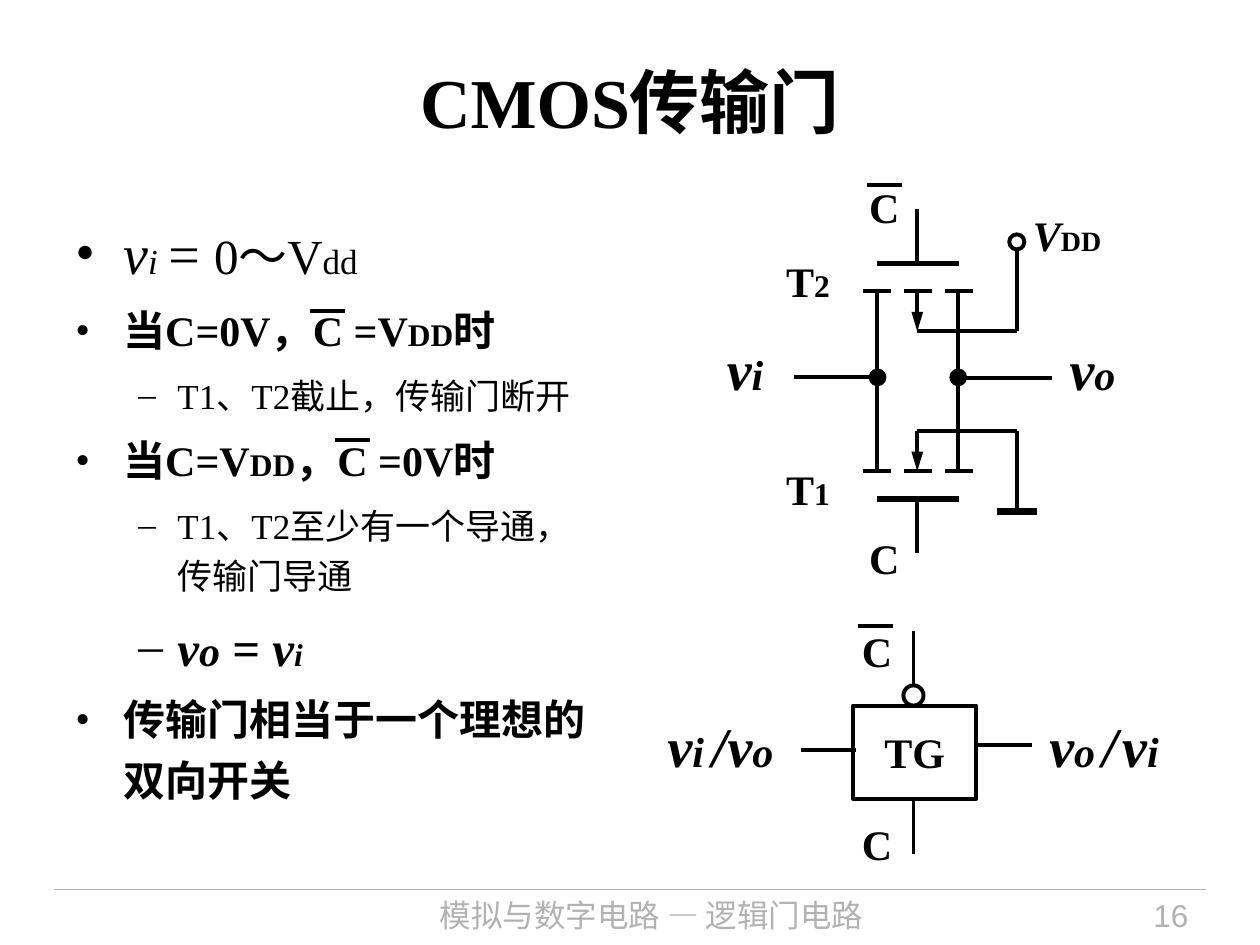
import pptx
import pptx.dml.color
import pptx.enum.shapes
import pptx.enum.text
import pptx.oxml
import pptx.oxml.ns
import pptx.util
from pptx.util import Inches

COLORS = {"ink": "000000", "footer": "B2B2B2"}
SERIF = "Times New Roman"
ALIGN = pptx.enum.text.PP_ALIGN
ANCHOR = pptx.enum.text.MSO_ANCHOR
SHAPE = pptx.enum.shapes.MSO_SHAPE
END_LENGTHS = {"triangle": "lg", "oval": "med"}


def rgb(name):
    """Return the named colour."""
    return pptx.dml.color.RGBColor.from_string(COLORS[name])


def add_child(parent, tag, **attributes):
    """Append a DrawingML element with the given attributes."""
    child = pptx.oxml.parse_xml(f"<a:{tag} {pptx.oxml.ns.nsdecls('a')}/>")
    for key, value in attributes.items():
        child.set(key, str(value))
    parent.append(child)
    return child


def add_runs(paragraph, runs, font=SERIF, color="ink"):
    """Add runs given as (text, size, style), style holding b and i flags."""
    for text, size, style in runs:
        run = paragraph.add_run()
        run.text = text
        run.font.name = font
        run.font.size = pptx.util.Pt(size)
        run.font.bold = "b" in style
        run.font.italic = "i" in style
        run.font.color.rgb = rgb(color)


def add_text(shapes, box, runs, align=ALIGN.LEFT, wrap=True, inset=True,
             anchor=ANCHOR.TOP, font=SERIF, color="ink"):
    """Add a one-paragraph text box."""
    frame = shapes.add_textbox(*map(Inches, box)).text_frame
    frame.word_wrap = wrap
    frame.vertical_anchor = anchor
    if not inset:
        frame.margin_left = frame.margin_right = 0
        frame.margin_top = frame.margin_bottom = 0
    frame.paragraphs[0].alignment = align
    add_runs(frame.paragraphs[0], runs, font, color)
    return frame


def add_line(shapes, x1, y1, x2, y2, width=2.25, end=None, color="ink"):
    """Add a straight line with an optional end mark."""
    line = shapes.add_connector(pptx.enum.shapes.MSO_CONNECTOR.STRAIGHT,
                                *map(Inches, (x1, y1, x2, y2)))
    line.line.color.rgb = rgb(color)
    line.line.width = pptx.util.Pt(width)
    if end:
        add_child(line.line._get_or_add_ln(), "tailEnd", type=end,
                  len=END_LENGTHS[end])
    add_child(line._element.spPr, "effectLst")


def add_outline(shapes, kind, box):
    """Add an unfilled outlined shape."""
    shape = shapes.add_shape(kind, *map(Inches, box))
    shape.shadow.inherit = False
    shape.fill.background()
    shape.line.color.rgb = rgb("ink")
    shape.line.width = pptx.util.Pt(2.25)
    return shape


def add_footer(shapes, left, top, width):
    """Place the footer rule, course name and page number."""
    add_line(shapes, left, top, left + width, top, 0.75, color="footer")
    add_text(shapes, (left + 2.06, top, 5.36, 0.44),
             [("模拟与数字电路 — 逻辑门电路", 18, "")], ALIGN.CENTER,
             font="Arial", color="footer")
    add_text(shapes, (left + 7.77, top, 1.33, 0.44), [("16", 18, "")],
             ALIGN.RIGHT, font="Arial", color="footer")


def add_explanation(shapes, left, top, width, height):
    """Place the bulleted explanation with the bars over C."""
    points = [
        (0, 5, [("v", 32, "i"), ("i", 20, "i"), (" ", 24, "b"),
                ("= ", 32, ""), ("0～V", 28, ""), ("dd", 20, "")]),
        (0, 6, [("当C=0V，C =V", 24, "b"), ("DD", 18, "b"), ("时", 24, "b")]),
        (1, 5, [("T1、T2截止，传输门断开", 20, "")]),
        (0, 6, [("当C=V", 24, "b"), ("DD", 18, "b"), ("，C =0V时", 24, "b")]),
        (1, 5, [("T1、T2至少有一个导通，传输门导通", 20, "")]),
        (1, 4.5, [("v", 28, "bi"), ("o", 24, "bi"), (" ", 28, "bi"),
                  ("= ", 28, "b"), ("v", 28, "bi"), ("i", 18, "bi")]),
        (0, 6, [("传输门相当于一个理想的双向开关", 24, "b")]),
    ]
    levels = [("•", 0.38, 0.38), ("–", 0.81, 0.31)]
    frame = shapes.add_textbox(*map(Inches, (left, top, width, height))).text_frame
    frame.word_wrap = True
    for index, (level, space_after, runs) in enumerate(points):
        paragraph = frame.add_paragraph() if index else frame.paragraphs[0]
        paragraph.level = level
        paragraph.line_spacing = 1.2
        paragraph.space_after = pptx.util.Pt(space_after)
        bullet, margin, hanging = levels[level]
        properties = paragraph._p.get_or_add_pPr()
        properties.set("marL", str(Inches(margin)))
        properties.set("indent", str(-Inches(hanging)))
        add_child(add_child(properties, "buClr"), "srgbClr", val=COLORS["ink"])
        add_child(properties, "buFont", typeface=SERIF)
        add_child(properties, "buChar", char=bullet)
        add_runs(paragraph, runs)
    for bar_x, bar_y in ((1.96, 0.89), (2.16, 1.91)):
        add_line(shapes, left + bar_x, top + bar_y, left + bar_x + 0.28, top + bar_y)


def add_transistor(shapes, left, channel, inward):
    """Place one MOS transistor; inward is 1 when its leads run down, else -1."""
    middle = left + 0.43
    plate, bulk = channel - 0.22 * inward, channel + 0.32 * inward
    for index in range(3):
        dash = left + 0.325 * index
        add_line(shapes, dash, channel, dash + 0.22, channel)
    add_line(shapes, left + 0.11, plate, left + 0.76, plate, 3)
    add_line(shapes, middle, plate, middle, plate - 0.43 * inward)
    add_line(shapes, middle, min(channel, bulk), middle, max(channel, bulk),
             end="triangle")
    add_line(shapes, middle, bulk, left + 1.22, bulk)
    add_line(shapes, left + 1.22, bulk, left + 1.22, bulk - 0.65 * inward)


def add_circuit(shapes, left, top):
    """Place the two-transistor transmission gate circuit."""
    upper, lower, middle = top + 0.92, top + 2.35, top + 1.6
    channel = left + 1.18
    add_transistor(shapes, channel, upper, 1)
    add_transistor(shapes, channel, lower, -1)
    for rail in (channel + 0.11, channel + 0.75):
        add_line(shapes, rail, upper, rail, lower)
    add_line(shapes, left + 0.63, middle, channel + 0.11, middle, end="oval")
    add_line(shapes, left + 2.68, middle + 0.01, channel + 0.75, middle + 0.01,
             end="oval")
    for node in (channel + 0.11, channel + 0.75):
        dot = add_outline(shapes, SHAPE.OVAL, (node - 0.05, middle - 0.05, 0.11, 0.11))
        dot.fill.solid()
        dot.fill.fore_color.rgb = rgb("ink")
    add_outline(shapes, SHAPE.OVAL, (left + 2.34, top + 0.47, 0.12, 0.12))
    add_line(shapes, left + 2.24, top + 2.67, left + 2.56, top + 2.67, 4.5)
    add_line(shapes, left + 1.21, top + 0.08, left + 1.49, top + 0.08)
    labels = [
        (2.43, 0.22, 0.74, 0.5, [("V", 24, "bi"), ("DD", 16, "b")]),
        (1.13, 0, 0.44, 0.5, [("C", 24, "b")]),
        (1.13, 2.79, 0.44, 0.5, [("C", 24, "b")]),
        (0, 1.22, 0.55, 0.64, [("v", 32, "bi"), ("i", 24, "bi"), (" ", 18, "bi")]),
        (2.72, 1.22, 0.62, 0.64, [("v", 32, "bi"), ("o", 24, "bi")]),
        (0.47, 2.24, 0.55, 0.5, [("T", 24, "b"), ("1", 18, "b")]),
        (0.47, 0.59, 0.55, 0.5, [("T", 24, "b"), ("2", 18, "b")]),
    ]
    for x, y, width, height, runs in labels:
        add_text(shapes, (left + x, top + y, width, height), runs, wrap=False)


def add_gate_symbol(shapes, left, top):
    """Place the TG block symbol with its four terminals."""
    axis = left + 2.05
    gate = add_outline(shapes, SHAPE.RECTANGLE, (left + 1.57, top + 0.63, 0.98, 0.74))
    gate.text_frame.word_wrap = False
    gate.text_frame.vertical_anchor = ANCHOR.MIDDLE
    gate.text_frame.paragraphs[0].alignment = ALIGN.CENTER
    add_runs(gate.text_frame.paragraphs[0], [("TG", 24, "b")])
    add_outline(shapes, SHAPE.OVAL, (axis - 0.08, top + 0.47, 0.16, 0.16))
    for x1, y1, x2, y2 in ((2.56, 0.94, 2.99, 0.94), (1.16, 0.98, 1.59, 0.98),
                           (1.61, 0, 1.89, 0), (2.05, 1.37, 2.05, 1.81),
                           (2.05, 0.04, 2.05, 0.47)):
        add_line(shapes, left + x1, top + y1, left + x2, top + y2)
    for y in (0.04, 1.57):
        control = add_text(shapes, (left + 1.61, top + y, 0.3, 0.36),
                           [("C", 24, "b")], ALIGN.CENTER, inset=False)
        control.paragraphs[0].line_spacing = 0.9
    add_text(shapes, (left, top + 0.63, 1.1, 0.64),
             [("v", 32, "bi"), ("i", 24, "bi"), (" ", 18, "bi"),
              ("/v", 32, "bi"), ("o", 24, "bi"), (" ", 18, "bi")], wrap=False)
    add_text(shapes, (left + 3.03, top + 0.63, 1.13, 0.64),
             [("v", 32, "bi"), ("o", 24, "bi"), (" ", 16, "bi"), ("/", 32, "bi"),
              (" ", 10, "bi"), ("v", 32, "bi"), ("i", 24, "bi"), (" ", 18, "bi")],
             wrap=False)


def main():
    """Build the transmission gate slide."""
    deck = pptx.Presentation()
    deck.slide_width, deck.slide_height = Inches(10), Inches(7.5)
    shapes = deck.slides.add_slide(deck.slide_layouts[6]).shapes
    add_footer(shapes, 0.43, 7.06, 9.14)
    add_text(shapes, (0.5, 0.17, 9, 1.25), [("CMOS传输门", 40, "b")],
             ALIGN.CENTER, anchor=ANCHOR.MIDDLE)
    add_explanation(shapes, 0.5, 1.58, 4.34, 5.39)
    add_circuit(shapes, 5.67, 1.39)
    add_gate_symbol(shapes.add_group_shape().shapes, 5.2, 4.97)
    deck.save("out.pptx")


if __name__ == "__main__":
    main()
